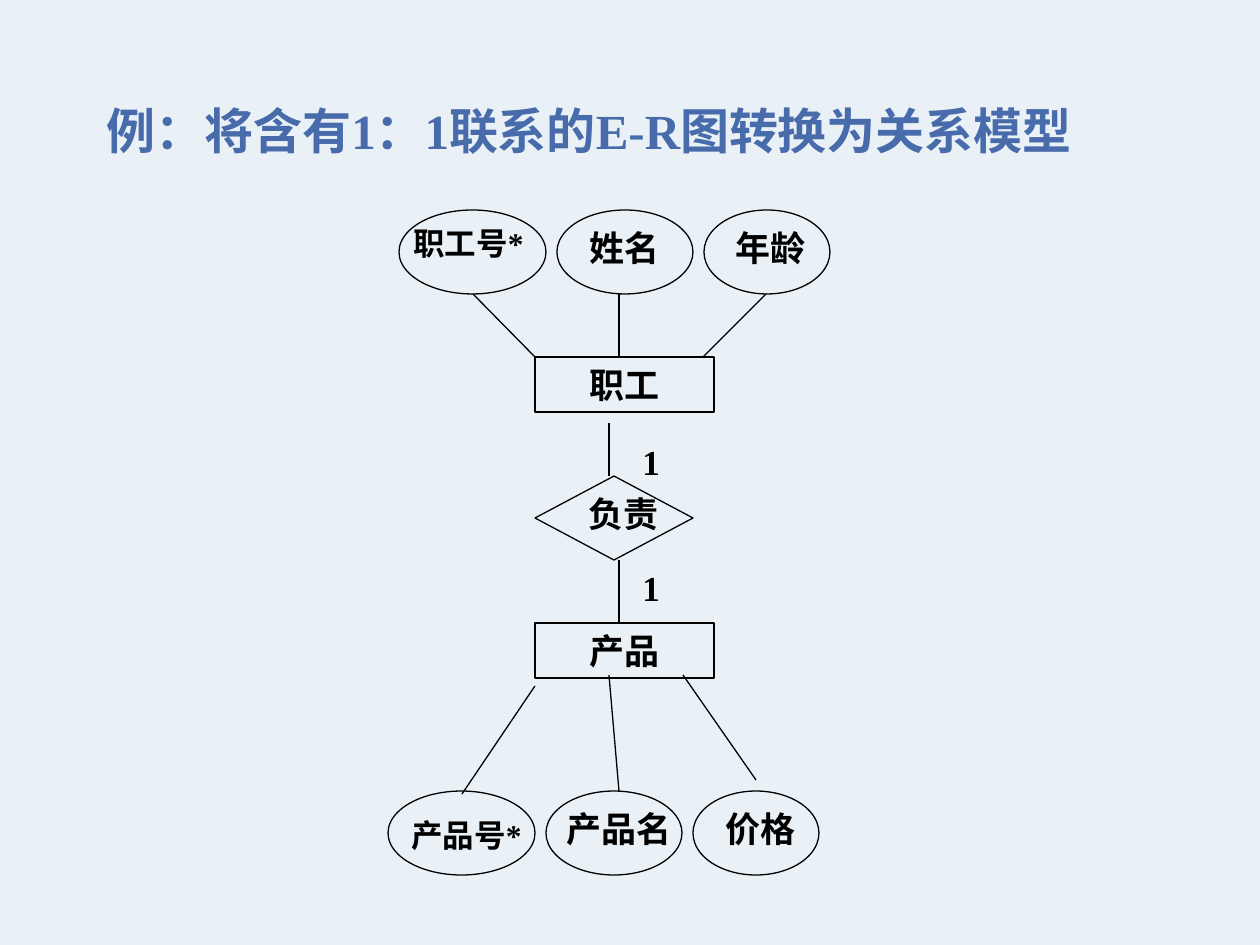
"""Build a slide with an E-R diagram of a one-to-one relationship."""
from typing import NamedTuple

from lxml.etree import SubElement
from pptx import Presentation
from pptx.dml.color import RGBColor
from pptx.enum.shapes import MSO_CONNECTOR, MSO_SHAPE
from pptx.enum.text import MSO_ANCHOR, MSO_AUTO_SIZE, PP_ALIGN
from pptx.oxml.ns import qn
from pptx.slide import Slide
from pptx.text.text import TextFrame
from pptx.util import Emu, Pt

PX = 914400 / 126
FONT = "Times New Roman"
BACKGROUND = RGBColor(0xEA, 0xF1, 0xF6)
BLUE = RGBColor(0x47, 0x6B, 0xAB)
BLACK = RGBColor(0, 0, 0)
LINE_WIDTH = Pt(0.75)


class Box(NamedTuple):
    left: int
    top: int
    width: int
    height: int


class Node(NamedTuple):
    kind: MSO_SHAPE
    box: Box
    text: str = ""


class Label(NamedTuple):
    text: str
    box: Box
    size: int = 20
    align: PP_ALIGN = PP_ALIGN.CENTER


class Link(NamedTuple):
    x1: int
    y1: int
    x2: int
    y2: int


TITLE = Label("例：将含有1：1联系的E-R图转换为关系模型",
              Box(94, 94, 1018, 72), 28, PP_ALIGN.LEFT)
ATTRIBUTE_COLUMNS = ((0, 147), (158, 136), (305, 126))
ATTRIBUTE_ROWS = ((399, 210), (388, 791))
NODES = [
    Node(MSO_SHAPE.OVAL, Box(left + dx, top, width, 84))
    for left, top in ATTRIBUTE_ROWS for dx, width in ATTRIBUTE_COLUMNS
] + [
    Node(MSO_SHAPE.RECTANGLE, Box(535, 357, 179, 55), "职工"),
    Node(MSO_SHAPE.RECTANGLE, Box(535, 623, 179, 55), "产品"),
    Node(MSO_SHAPE.FLOWCHART_DECISION, Box(535, 476, 158, 84)),
]
LABELS = [
    Label("职工号*", Box(401, 218, 147, 50), 18, PP_ALIGN.LEFT),
    Label("姓名", Box(567, 220, 116, 55)),
    Label("年龄", Box(703, 220, 136, 55)),
    Label("负责", Box(557, 486, 133, 55)),
    Label("1", Box(630, 434, 53, 55), align=PP_ALIGN.LEFT),
    Label("1", Box(630, 560, 53, 55), align=PP_ALIGN.LEFT),
    Label("产品号*", Box(399, 810, 147, 50), 18, PP_ALIGN.LEFT),
    Label("产品名", Box(546, 801, 147, 55)),
    Label("价格", Box(693, 801, 136, 55)),
]
LINKS = [
    Link(473, 294, 535, 357),
    Link(619, 294, 619, 357),
    Link(766, 294, 703, 357),
    Link(609, 423, 609, 476),
    Link(619, 560, 619, 623),
    Link(535, 686, 462, 794),
    Link(609, 675, 619, 791),
    Link(683, 675, 756, 780),
]


def emu(lengths: tuple) -> list[Emu]:
    """Turn px lengths into EMU."""
    return [Emu(round(n * PX)) for n in lengths]


def write(tf: TextFrame, label: Label, color: RGBColor = BLACK) -> None:
    """Put a bold label into a text frame."""
    tf.word_wrap = True
    tf.auto_size = MSO_AUTO_SIZE.NONE
    tf.vertical_anchor = MSO_ANCHOR.TOP
    p = tf.paragraphs[0]
    p.text = label.text
    p.alignment = label.align
    p.space_before = Pt(0)
    p.font.name = FONT
    p.font.size = Pt(label.size)
    p.font.bold = True
    p.font.color.rgb = color


def add_title(s: Slide, label: Label) -> None:
    """Place and format the title placeholder."""
    sp = s.shapes.title
    sp.left, sp.top, sp.width, sp.height = emu(label.box)
    write(sp.text_frame, label, BLUE)


def add_node(s: Slide, node: Node) -> None:
    """Draw an outlined entity, attribute or relationship."""
    sp = s.shapes.add_shape(node.kind, *emu(node.box))
    sp.shadow.inherit = False
    sp.fill.background()
    sp.line.color.rgb = BLACK
    sp.line.width = LINE_WIDTH
    if node.text:
        write(sp.text_frame, Label(node.text, node.box))


def add_label(s: Slide, label: Label) -> None:
    """Draw a text box."""
    write(s.shapes.add_textbox(*emu(label.box)).text_frame, label)


def add_link(s: Slide, link: Link) -> None:
    """Draw a straight line without a shadow."""
    sp = s.shapes.add_connector(MSO_CONNECTOR.STRAIGHT, *emu(link))
    sp.line.color.rgb = BLACK
    sp.line.width = LINE_WIDTH
    SubElement(sp._element.spPr, qn("a:effectLst"))


def main() -> None:
    """Build and save the slide."""
    prs = Presentation()
    prs.slide_width, prs.slide_height = emu((1260, 945))
    s = prs.slides.add_slide(prs.slide_layouts[5])
    s.background.fill.solid()
    s.background.fill.fore_color.rgb = BACKGROUND
    add_title(s, TITLE)
    for node in NODES:
        add_node(s, node)
    for label in LABELS:
        add_label(s, label)
    for link in LINKS:
        add_link(s, link)
    prs.save("out.pptx")


if __name__ == "__main__":
    main()
